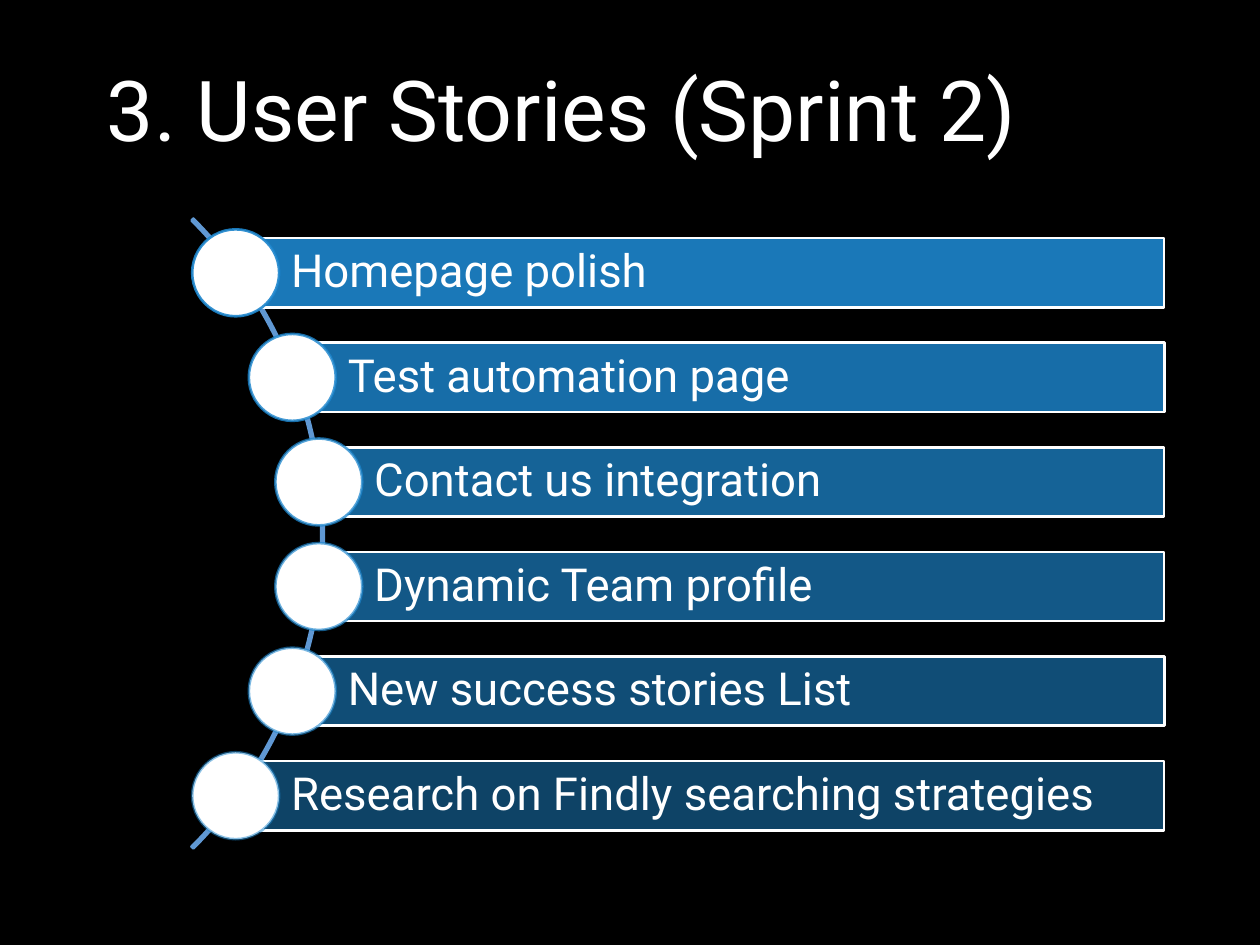
from lxml import etree
from pptx import Presentation
from pptx.dml.color import RGBColor
from pptx.enum.shapes import MSO_SHAPE as SHAPE
from pptx.enum.text import MSO_ANCHOR as ANCHOR, PP_ALIGN as ALIGN
from pptx.oxml.ns import qn
from pptx.util import Inches, Pt

BLACK = RGBColor(0x00, 0x00, 0x00)
WHITE = RGBColor(0xFF, 0xFF, 0xFF)
BLUE = RGBColor(0x1D, 0x86, 0xCD)
ARC_BLUE = RGBColor(0x60, 0x98, 0xD3)

STORIES = [
    ("Homepage polish", 1.87),
    ("Test automation page", 2.32),
    ("Contact us integration", 2.53),
    ("Dynamic Team profile", 2.53),
    ("New success stories List", 2.32),
    ("Research on Findly searching strategies", 1.87),
]
BAR_TOP, BAR_STEP, BAR_HEIGHT, BAR_RIGHT = 1.89, 0.83, 0.55, 9.24
DOT = 0.69


def set_alpha(color_parent, percent):
    """Make the solid colour inside a fill or line partly transparent."""
    color = color_parent.find(qn("a:solidFill"))[0]
    etree.SubElement(color, qn("a:alpha")).set("val", str(percent * 1000))


class Deck:
    font = "Roboto"
    line_width = Pt(1.5)

    def __init__(self, slide):
        self.s = slide

    def background(self, color):
        fill = self.s.background.fill
        fill.solid()
        fill.fore_color.rgb = color

    def label(self, sp, text, size, insets):
        tf = sp.text_frame
        tf.word_wrap = True
        tf.vertical_anchor = ANCHOR.MIDDLE
        tf.margin_left, tf.margin_top, tf.margin_right, tf.margin_bottom = map(Inches, insets)
        p = tf.paragraphs[0]
        p.text = text
        p.alignment = ALIGN.LEFT
        p.line_spacing = 0.9
        font = p.runs[0].font
        font.name, font.size, font.color.rgb = self.font, Pt(size), WHITE

    def title(self, text, *box):
        sp = self.s.shapes.add_textbox(*map(Inches, box))
        self.label(sp, text, 48, (0.1, 0.05, 0.1, 0.05))

    def shape(self, kind, box, line, fill=None):
        sp = self.s.shapes.add_shape(kind, *map(Inches, box))
        sp.shadow.inherit = False
        if fill is None:
            sp.fill.background()
        else:
            sp.fill.solid()
            sp.fill.fore_color.rgb = fill
        sp.line.color.rgb = line
        sp.line.width = self.line_width
        return sp

    def arc(self, *box):
        sp = self.shape(SHAPE.BLOCK_ARC, box, ARC_BLUE)
        for i, value in enumerate((189, 27, 0.003)):
            sp.adjustments[i] = value

    def story(self, text, left, top, alpha):
        """Draw a bar with its text and the dot centred on its left edge."""
        bar = self.shape(SHAPE.RECTANGLE, (left, top, BAR_RIGHT - left, BAR_HEIGHT), WHITE, BLUE)
        set_alpha(bar._element.spPr, alpha)
        self.label(bar, text, 26, (0.44, 0.07, 0.07, 0.07))
        dot_top = top + (BAR_HEIGHT - DOT) / 2
        dot = self.shape(SHAPE.OVAL, (left - DOT / 2, dot_top, DOT, DOT), BLUE, WHITE)
        set_alpha(dot._element.spPr.find(qn("a:ln")), alpha)


def main():
    prs = Presentation()
    prs.slide_width, prs.slide_height = Inches(10), Inches(7.5)
    deck = Deck(prs.slides.add_slide(prs.slide_layouts[6]))
    deck.background(BLACK)
    deck.title("3. User Stories (Sprint 2)", 0.75, 0.13, 8.5, 1.56)
    deck.arc(-4.5, 0.7, 7.07, 7.07)
    for i, (text, left) in enumerate(STORIES):
        deck.story(text, left, BAR_TOP + i * BAR_STEP, 90 - 8 * i)
    prs.save("out.pptx")


if __name__ == "__main__":
    main()
